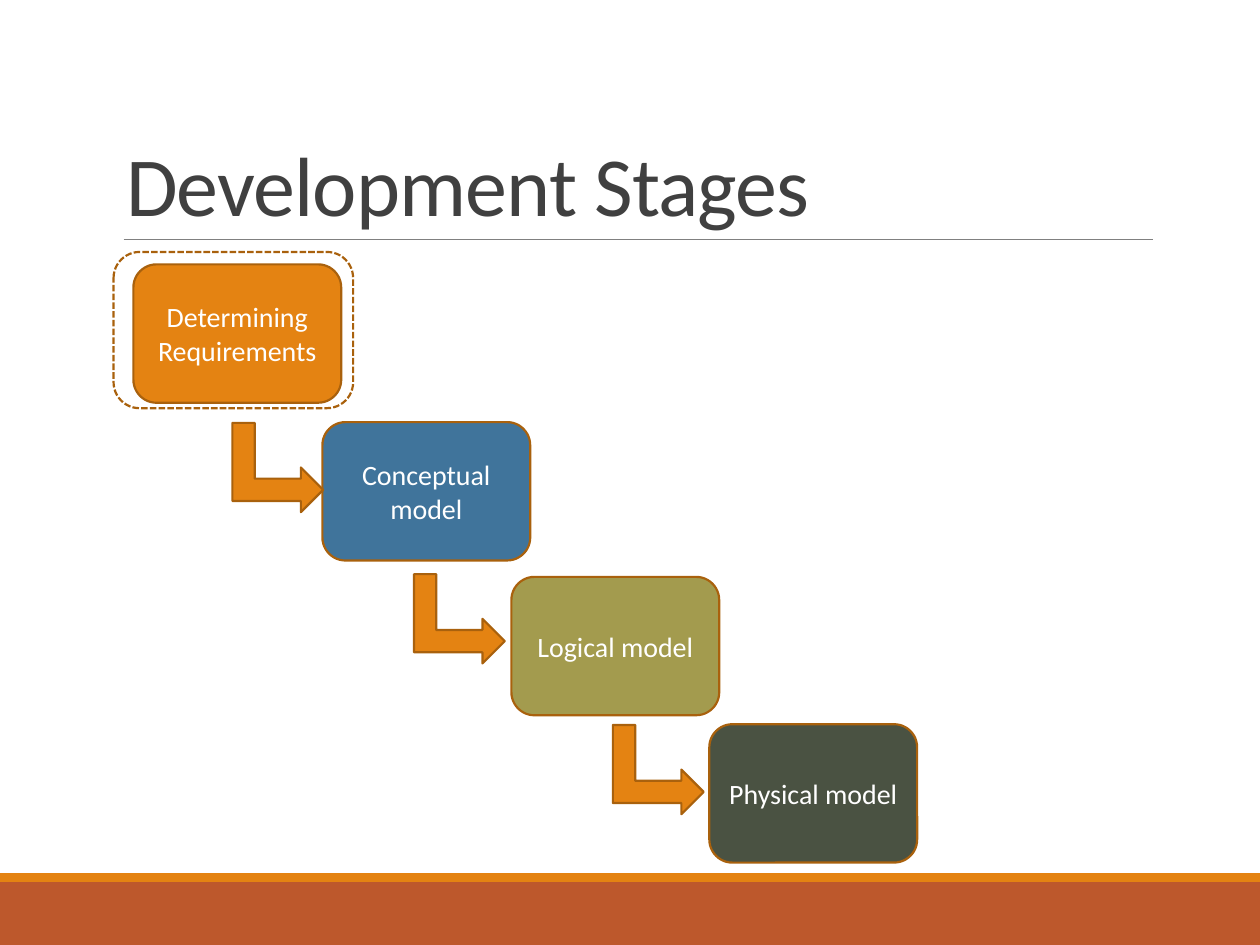
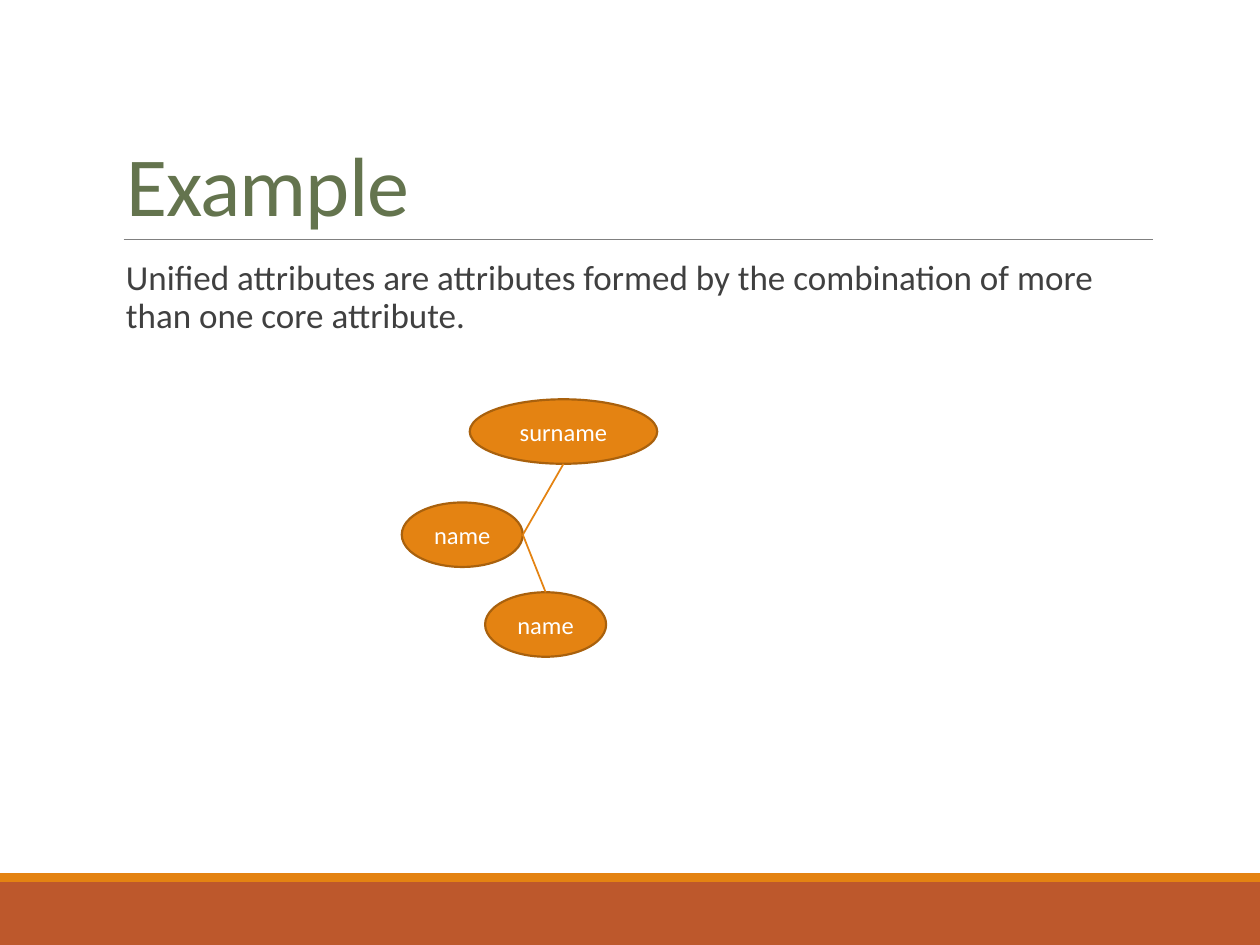
from dataclasses import dataclass

import lxml.etree
import pptx
import pptx.dml.color
import pptx.enum.dml
import pptx.enum.shapes
import pptx.enum.text
import pptx.oxml.ns
import pptx.presentation
import pptx.shapes.autoshape
import pptx.shapes.connector
import pptx.slide
import pptx.text.text
import pptx.util

Cm = pptx.util.Cm
Pt = pptx.util.Pt
SHAPE = pptx.enum.shapes.MSO_SHAPE
ALIGN = pptx.enum.text.PP_ALIGN
ANCHOR = pptx.enum.text.MSO_ANCHOR

FONT = "Calibri"
WHITE = "FFFFFF"
ORANGE = "E48312"
DARK_ORANGE = "A9610D"
RUST = "BD582C"
GREY = "808080"
TEXT = "404040"
GREEN = "64744E"
SLIDE_W, SLIDE_H = 25.4, 19.05
CONTENT_LEFT, CONTENT_W = 2.29, 20.96


@dataclass
class Node:
    text: str
    left: float
    top: float
    width: float
    height: float
    fill: str = ORANGE


@dataclass
class Arrow:
    left: float
    top: float


STAGE_W, STAGE_H = 4.19, 2.79
STAGES = [
    Node("Determining Requirements", 2.69, 5.33, STAGE_W, STAGE_H),
    Node("Conceptual model", 6.5, 8.51, STAGE_W, STAGE_H, "40749B"),
    Node("Logical model", 10.31, 11.63, STAGE_W, STAGE_H, "A39B4E"),
    Node("Physical model", 14.3, 14.6, STAGE_W, STAGE_H, "4A5242"),
]
ARROWS = [Arrow(4.7, 8.51), Arrow(8.36, 11.56), Arrow(12.37, 14.6)]

OVAL_H = 1.3
UNIFIED_NAME = Node("name", 8.1, 10.13, 2.44, OVAL_H)
FIRST_NAME = Node("name", 9.78, 11.94, 2.44, OVAL_H)
SURNAME = Node("surname", 9.47, 8.05, 3.78, OVAL_H)


def rgb(value: str) -> pptx.dml.color.RGBColor:
    return pptx.dml.color.RGBColor.from_string(value)


def style_font(p: pptx.text.text._Paragraph, size: float, color: str) -> None:
    p.font.name = FONT
    p.font.size = Pt(size)
    p.font.color.rgb = rgb(color)


def add_shape(slide: pptx.slide.Slide, kind: SHAPE, left: float, top: float,
              width: float, height: float, fill: str | None,
              line: str | None = DARK_ORANGE) -> pptx.shapes.autoshape.Shape:
    sp = slide.shapes.add_shape(kind, Cm(left), Cm(top), Cm(width), Cm(height))
    sp.shadow.inherit = False
    if fill:
        sp.fill.solid()
        sp.fill.fore_color.rgb = rgb(fill)
    else:
        sp.fill.background()
    if line:
        sp.line.color.rgb = rgb(line)
        sp.line.width = Pt(1.25)
    else:
        sp.line.fill.background()
    return sp


def add_node(slide: pptx.slide.Slide, kind: SHAPE, node: Node,
             size: float) -> pptx.shapes.autoshape.Shape:
    sp = add_shape(slide, kind, node.left, node.top, node.width, node.height, node.fill)
    tf = sp.text_frame
    tf.word_wrap = True
    tf.vertical_anchor = ANCHOR.MIDDLE
    p = tf.paragraphs[0]
    p.text = node.text
    p.alignment = ALIGN.CENTER
    style_font(p, size, WHITE)
    return sp


def add_line(slide: pptx.slide.Slide, x1: int, y1: int, x2: int, y2: int,
             color: str, width: float) -> pptx.shapes.connector.Connector:
    cxn = slide.shapes.add_connector(
        pptx.enum.shapes.MSO_CONNECTOR.STRAIGHT, x1, y1, x2, y2)
    cxn.line.color.rgb = rgb(color)
    cxn.line.width = Pt(width)
    lxml.etree.SubElement(cxn._element.spPr, pptx.oxml.ns.qn("a:effectLst"))
    return cxn


def add_slide(prs: pptx.presentation.Presentation, title: str,
              color: str = TEXT) -> pptx.slide.Slide:
    slide = prs.slides.add_slide(prs.slide_layouts[5])
    add_shape(slide, SHAPE.RECTANGLE, 0, 17.78, SLIDE_W, 1.27, RUST, None)
    add_shape(slide, SHAPE.RECTANGLE, 0, 17.6, SLIDE_W, 0.18, ORANGE, None)
    add_line(slide, Cm(2.49), Cm(4.83), Cm(23.24), Cm(4.83), GREY, 0.5)

    sp = slide.shapes.title
    sp.left, sp.top = Cm(CONTENT_LEFT), Cm(0.79)
    sp.width, sp.height = Cm(CONTENT_W), Cm(4.04)
    tf = sp.text_frame
    tf.word_wrap = True
    tf.auto_size = pptx.enum.text.MSO_AUTO_SIZE.NONE
    tf.vertical_anchor = ANCHOR.BOTTOM
    p = tf.paragraphs[0]
    p.text = title
    p.alignment = ALIGN.LEFT
    p.line_spacing = 0.85
    style_font(p, 48, color)
    p.runs[0]._r.get_or_add_rPr().set("spc", "-50")
    return slide


def build_stages(prs: pptx.presentation.Presentation) -> None:
    slide = add_slide(prs, "Development Stages")
    frame = add_shape(slide, SHAPE.ROUNDED_RECTANGLE, 2.29, 5.08, 4.83, 3.15, None)
    frame.line.dash_style = pptx.enum.dml.MSO_LINE.SQUARE_DOT
    for stage in STAGES:
        add_node(slide, SHAPE.ROUNDED_RECTANGLE, stage, 16)
    for arrow in ARROWS:
        sp = add_shape(slide, SHAPE.BENT_UP_ARROW, arrow.left, arrow.top, 1.8, 1.83, ORANGE)
        sp.rotation = 90


def build_example(prs: pptx.presentation.Presentation) -> None:
    slide = add_slide(prs, "Example", GREEN)
    body = slide.shapes.add_textbox(Cm(CONTENT_LEFT), Cm(5.13), Cm(CONTENT_W), Cm(11.18))
    tf = body.text_frame
    tf.word_wrap = True
    tf.margin_left, tf.margin_right = Cm(0.25), 0
    p = tf.paragraphs[0]
    p.text = ("Unified attributes are attributes formed by the combination "
              "of more than one core attribute.")
    p.line_spacing = 0.9
    style_font(p, 20, TEXT)

    unified, first, surname = (
        add_node(slide, SHAPE.OVAL, node, 14)
        for node in (UNIFIED_NAME, FIRST_NAME, SURNAME))
    for part, end_y in ((surname, surname.top + surname.height), (first, first.top)):
        add_line(slide, unified.left + unified.width, unified.top + unified.height // 2,
                 part.left + part.width // 2, end_y, ORANGE, 1)


def main() -> None:
    prs = pptx.Presentation()
    prs.slide_width, prs.slide_height = Cm(SLIDE_W), Cm(SLIDE_H)
    build_stages(prs)
    build_example(prs)
    prs.save("out.pptx")


if __name__ == "__main__":
    main()
